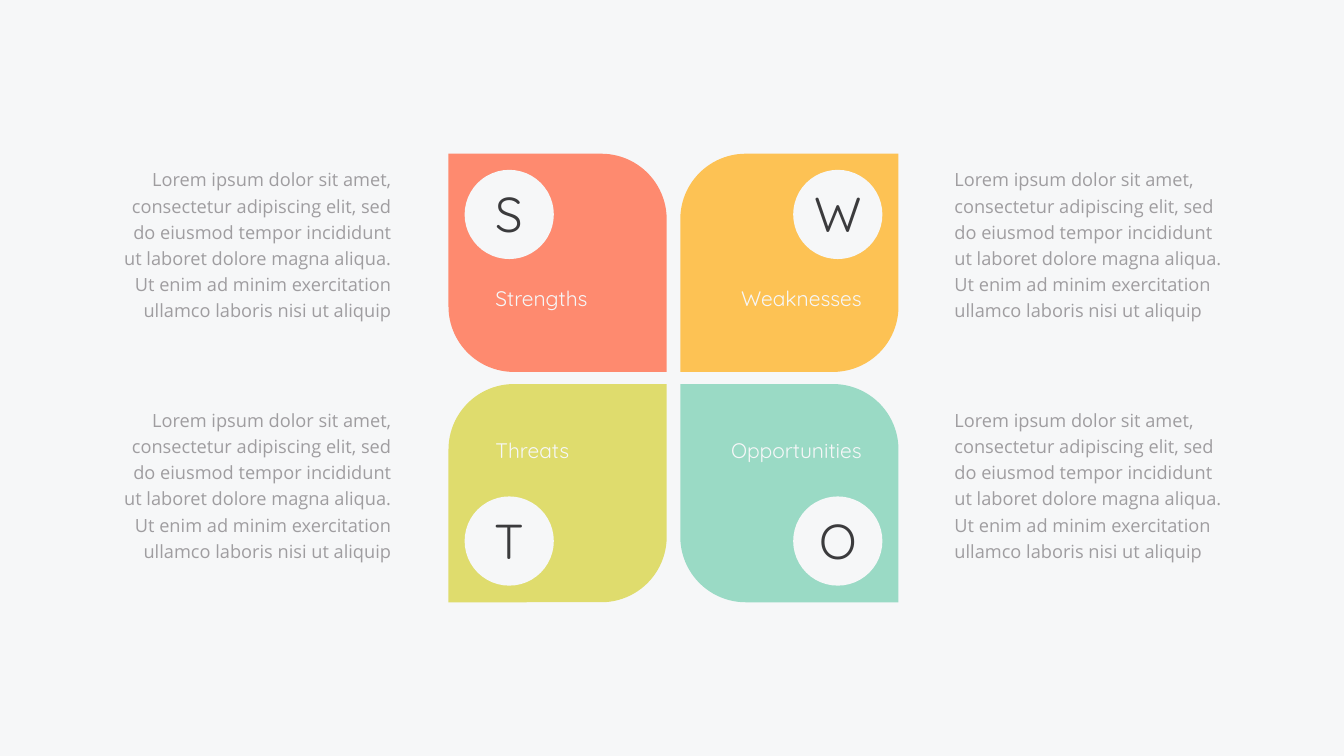
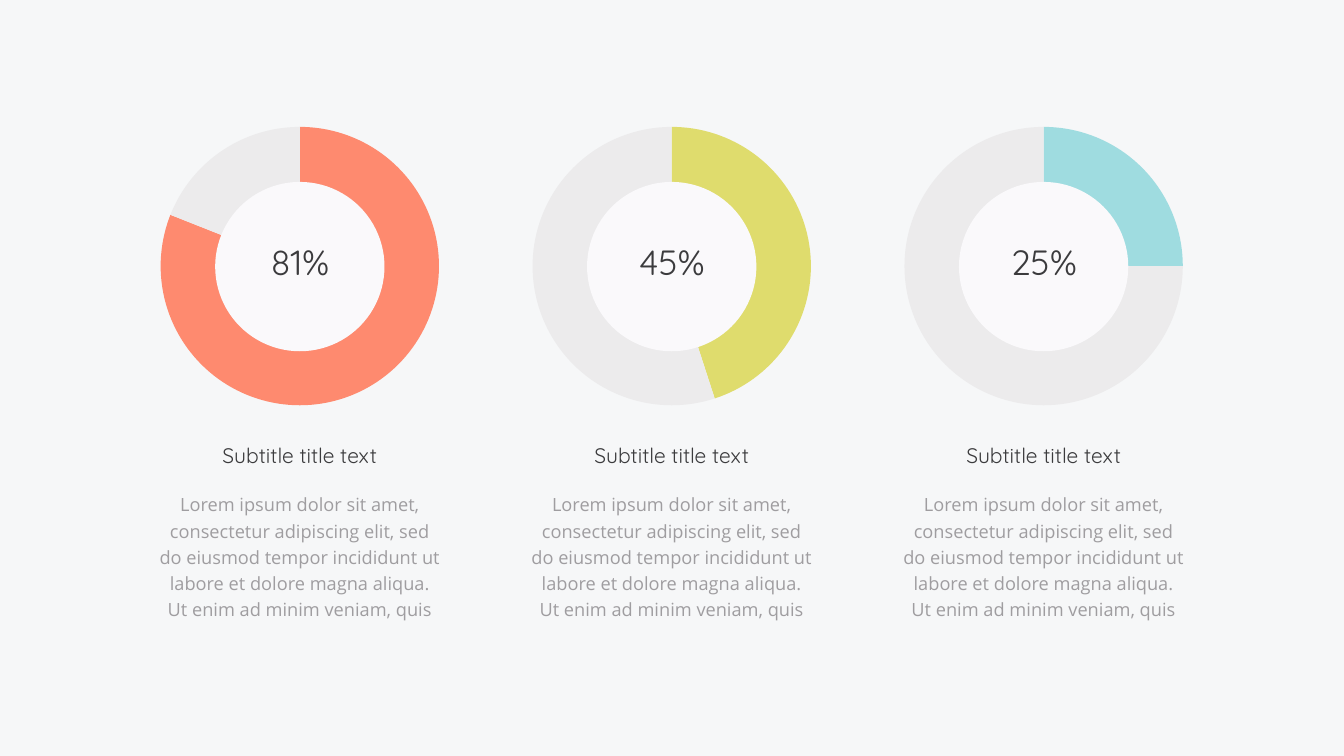
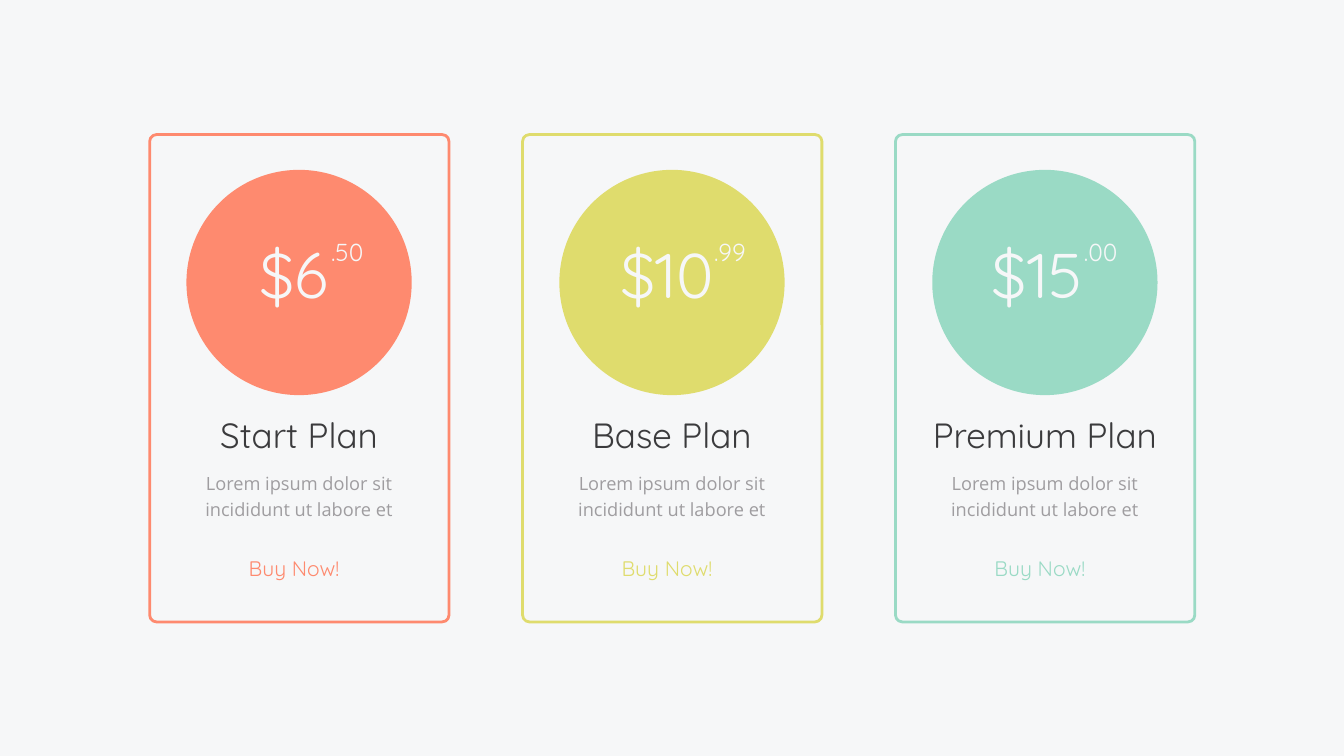
"""Build three infographic slides: a SWOT matrix, progress rings and pricing cards."""
from lxml import etree
from pptx import Presentation
from pptx.chart.data import CategoryChartData
from pptx.dml.color import RGBColor
from pptx.enum.chart import XL_CHART_TYPE
from pptx.enum.shapes import MSO_SHAPE
from pptx.enum.text import MSO_ANCHOR, MSO_AUTO_SIZE, PP_ALIGN
from pptx.oxml import parse_xml
from pptx.oxml.ns import nsdecls, qn
from pptx.util import Inches, Pt

PIE = XL_CHART_TYPE.PIE
OVAL, CARD, PETAL = MSO_SHAPE.OVAL, MSO_SHAPE.ROUNDED_RECTANGLE, MSO_SHAPE.ROUND_2_DIAG_RECTANGLE
LEFT, CENTER, RIGHT = PP_ALIGN.LEFT, PP_ALIGN.CENTER, PP_ALIGN.RIGHT
TOP, MIDDLE = MSO_ANCHOR.TOP, MSO_ANCHOR.MIDDLE
FIT = MSO_AUTO_SIZE.SHAPE_TO_FIT_TEXT

PAPER = RGBColor(0xF6, 0xF7, 0xF8)
INK = RGBColor(0x3B, 0x3B, 0x3D)
GRAY = RGBColor(0x9F, 0x9D, 0xA0)
CORAL = RGBColor(0xFE, 0x8A, 0x6F)
AMBER = RGBColor(0xFD, 0xC2, 0x54)
LIME = RGBColor(0xDF, 0xDC, 0x6D)
MINT = RGBColor(0x9A, 0xDA, 0xC5)
AQUA = RGBColor(0x9F, 0xDC, 0xE0)
TRACK = RGBColor(0xEC, 0xEB, 0xEC)
HUB = RGBColor(0xFA, 0xF9, 0xFB)
HEADING_FONT, BODY_FONT, CHART_FONT = "Quicksand", "Open Sans", "Roboto"


def add_text(page, text, left, top, width, height, size, color=INK, align=CENTER, body=False):
    box = page.shapes.add_textbox(Inches(left), Inches(top), Inches(width), Inches(height))
    frame = box.text_frame
    frame.word_wrap = True
    frame.auto_size = FIT
    frame.vertical_anchor = TOP if body else MIDDLE
    frame.margin_left = frame.margin_right = Inches(0.06)
    frame.margin_top = frame.margin_bottom = Inches(0.06)
    para = frame.paragraphs[0]
    para.text = text
    para.alignment = align
    para.line_spacing = 1.2 if body else 0.9
    if body:
        para.space_before = Pt(20)
    para.font.name = BODY_FONT if body else HEADING_FONT
    para.font.size = Pt(size)
    para.font.color.rgb = GRAY if body else color


def add_figure(page, kind, left, top, width, height, fill=None, line=None):
    figure = page.shapes.add_shape(kind, Inches(left), Inches(top), Inches(width), Inches(height))
    figure.shadow.inherit = False
    if fill is None:
        figure.fill.background()
    else:
        figure.fill.solid()
        figure.fill.fore_color.rgb = fill
    if line is None:
        figure.line.fill.background()
    else:
        figure.line.color.rgb = line
        figure.line.width = Pt(4)
    return figure


deck = Presentation()
deck.slide_width, deck.slide_height = Inches(26.67), Inches(15)
pages = [deck.slides.add_slide(deck.slide_layouts[6]) for _ in range(3)]
for page in pages:
    page.background.fill.solid()
    page.background.fill.fore_color.rgb = PAPER
swot_page, ring_page, price_page = pages

swot_text = ("Lorem ipsum dolor sit amet, consectetur adipiscing elit, sed do eiusmod tempor "
             "incididunt ut laboret dolore magna aliqua. Ut enim ad minim exercitation "
             "ullamco laboris nisi ut aliquip")
swot = [
    ("Strengths", CORAL, 0, 0),
    ("Weaknesses", AMBER, 1, 0),
    ("Opportunities", MINT, 1, 1),
    ("Threats", LIME, 0, 1),
]
for name, color, column, row in swot:
    petal = add_figure(swot_page, PETAL, (8.9, 13.5)[column], (3.05, 7.62)[row], 4.33, 4.33, color)
    rounding = (0, 0.3) if column == row else (0.3, 0)
    petal.adjustments[0], petal.adjustments[1] = rounding
    badge_left, badge_top = (9.22, 15.74)[column], (3.37, 9.85)[row]
    add_figure(swot_page, OVAL, badge_left, badge_top, 1.77, 1.77, PAPER)
    add_text(swot_page, name[0], badge_left + 0.27, badge_top + 0.21, 1.24, 1.44, 70)
    add_text(swot_page, name, (9.77, 14.14)[column], (5.67, 8.69)[row], 3.02, 0.55, 30,
             PAPER, (LEFT, RIGHT)[column])
    add_text(swot_page, swot_text, (2.37, 18.88)[column], (3.2, 7.97)[row], 5.46, 3.23, 26,
             align=(RIGHT, LEFT)[column], body=True)

ring_text = ("Lorem ipsum dolor sit amet, consectetur adipiscing elit, sed do eiusmod tempor "
             "incididunt ut labore et dolore magna aliqua. Ut enim ad minim veniam, quis")
for index, (percent, color) in enumerate([(81, CORAL), (45, LIME), (25, AQUA)]):
    left = 3.08 + 7.38 * index
    add_text(ring_page, "Subtitle title text", left, 8.78, 5.74, 0.57, 30)
    add_text(ring_page, ring_text, left, 9.65, 5.74, 2.7, 26, body=True)

    data = CategoryChartData()
    data.categories = ["1", "2"]
    data.add_series("Series 1", (percent, 100 - percent))
    chart = ring_page.shapes.add_chart(PIE, Inches(left + 0.08), Inches(2.49),
                                       Inches(5.58), Inches(5.58), data).chart
    chart.has_title = chart.has_legend = False
    chart.font.name, chart.font.size, chart.font.color.rgb = CHART_FONT, Pt(10), INK
    plot = chart.plots[0]
    plot.vary_by_categories = True
    for position, fill in enumerate((color, TRACK)):
        wedge = plot.series[0].points[position].format
        wedge.fill.solid()
        wedge.fill.fore_color.rgb = fill
        wedge.line.fill.background()

    chart_space = chart.element
    chart_space.find(qn("c:chart")).addnext(parse_xml(
        f'<c:spPr {nsdecls("c", "a")}><a:noFill/><a:ln><a:noFill/></a:ln></c:spPr>'))
    plot_area = chart_space.find(".//" + qn("c:plotArea"))
    for layout in plot_area.findall(qn("c:layout")):
        plot_area.remove(layout)
    layout = etree.Element(qn("c:layout"))
    plot_area.insert(0, layout)
    manual = etree.SubElement(layout, qn("c:manualLayout"))
    for tag, value in [("layoutTarget", "inner"), ("xMode", "edge"), ("yMode", "edge"),
                       ("x", "0.005"), ("y", "0.005"), ("w", "0.99"), ("h", "0.99")]:
        etree.SubElement(manual, qn("c:" + tag)).set("val", value)

    add_figure(ring_page, OVAL, left + 1.19, 3.61, 3.36, 3.36, HUB)
    add_text(ring_page, f"{percent}%", left + 2, 4.81, 1.75, 0.87, 50)

plans = [
    ("Start Plan", "$6", ".50", CORAL, 1.52, 3.54),
    ("Base Plan", "$10", ".99", LIME, 1.52, 3.74),
    ("Premium Plan", "$15", ".00", MINT, 1.47, 3.68),
]
for index, (name, price, cents, color, price_offset, cents_offset) in enumerate(plans):
    left = 2.97 + 7.4 * index
    add_figure(price_page, OVAL, left + 0.73, 3.37, 4.47, 4.47, color)
    card = add_figure(price_page, CARD, left, 2.67, 5.94, 9.67, line=color)
    card.adjustments[0] = 0.023
    add_text(price_page, name, left + 0.08, 8.24, 5.77, 0.87, 50)
    add_text(price_page, "Lorem ipsum dolor sit incididunt ut labore et",
             left + 0.44, 9.23, 5.05, 1.13, 26, body=True)
    add_text(price_page, price, left + price_offset, 4.78, 2.69, 1.48, 90, PAPER)
    add_text(price_page, cents, left + cents_offset, 4.72, 0.96, 0.64, 35, PAPER, LEFT)
    add_text(price_page, "Buy Now!", left + 1.33, 11.02, 3.07, 0.57, 30, color)

deck.save("out.pptx")
